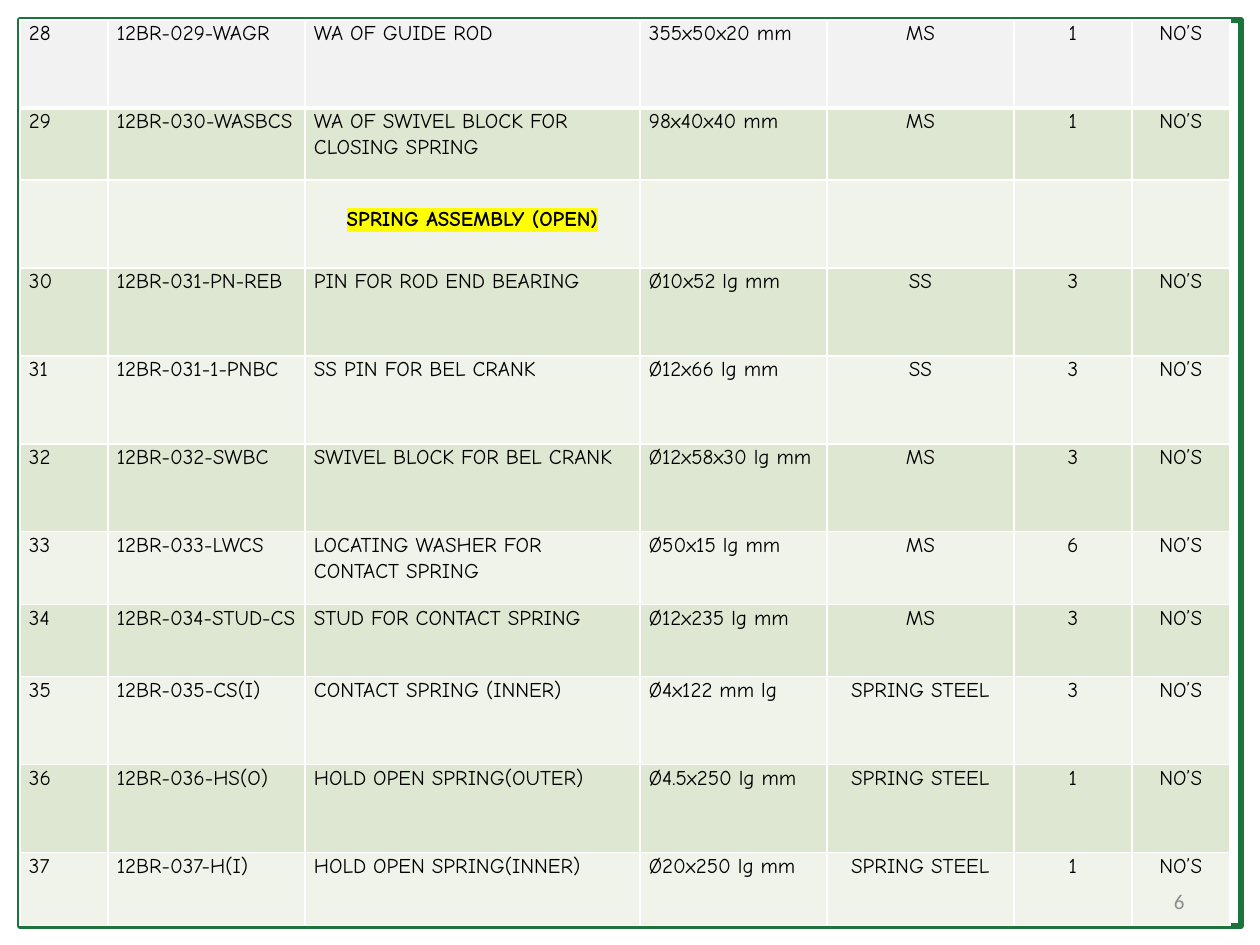
from dataclasses import dataclass

from lxml.etree import SubElement
from pptx import Presentation
from pptx.dml.color import RGBColor as Color
from pptx.enum.shapes import MSO_SHAPE as Shape
from pptx.enum.text import MSO_ANCHOR as Anchor, PP_ALIGN as Align
from pptx.oxml import parse_xml
from pptx.oxml.ns import nsdecls, qn
from pptx.util import Pt

EMU_PER_PX = 914400 / 126


@dataclass(frozen=True)
class Theme:
    frame: str = "1A743C"
    border: str = "FFFFFF"
    first_row: str = "F2F2F2"
    bands: tuple = ("DEE7D1", "EFF3EA")
    ink: str = "000000"
    number: str = "8C8C8C"
    highlight: str = "FFFF00"
    table_font: str = "Comic Neue"
    number_font: str = "Calibri"
    size: int = 12
    frame_width: float = 3.5
    thin: int = 1
    thick: int = 3


THEME = Theme()
COLUMN_WIDTHS = (88, 197, 335, 187, 187, 118, 98)
ROW_HEIGHTS = (88, 72, 88, 88, 88, 88, 73, 72, 88, 88, 73)
FIRST_CENTRED_COLUMN = 4
SECTION = "SPRING ASSEMBLY (OPEN)"
SECTION_COLUMN = 2
UNIT = "NO’S"
PARTS = (
    ("28", "12BR-029-WAGR", "WA OF GUIDE ROD", "355x50x20 mm", "MS", "1"),
    ("29", "12BR-030-WASBCS", "WA OF SWIVEL BLOCK FOR CLOSING SPRING",
     "98x40x40 mm", "MS", "1"),
    None,
    ("30", "12BR-031-PN-REB", "PIN FOR ROD END BEARING", "Ø10x52 lg mm", "SS", "3"),
    ("31", "12BR-031-1-PNBC", "SS PIN FOR BEL CRANK", "Ø12x66 lg mm", "SS", "3"),
    ("32", "12BR-032-SWBC", "SWIVEL BLOCK FOR BEL CRANK", "Ø12x58x30 lg mm", "MS", "3"),
    ("33", "12BR-033-LWCS", "LOCATING WASHER FOR CONTACT SPRING",
     "Ø50x15 lg mm", "MS", "6"),
    ("34", "12BR-034-STUD-CS", "STUD FOR CONTACT SPRING", "Ø12x235 lg mm", "MS", "3"),
    ("35", "12BR-035-CS(I)", "CONTACT SPRING (INNER)", "Ø4x122 mm lg",
     "SPRING STEEL", "3"),
    ("36", "12BR-036-HS(O)", "HOLD OPEN SPRING(OUTER)", "Ø4.5x250 lg mm",
     "SPRING STEEL", "1"),
    ("37", "12BR-037-H(I)", "HOLD OPEN SPRING(INNER)", "Ø20x250 lg mm",
     "SPRING STEEL", "1"),
)


def px(length):
    return round(length * EMU_PER_PX)


def apply(target, values):
    for name, value in values.items():
        setattr(target, name, value)


def write(para, text, color, **font):
    span = para.add_run()
    span.text = text
    apply(span.font, {"size": Pt(THEME.size), "bold": False, **font})
    span.font.color.rgb = Color.from_string(color)
    return span


def add_highlight(span):
    mark = parse_xml(
        f'<a:highlight {nsdecls("a")}><a:srgbClr val="{THEME.highlight}"/></a:highlight>')
    span.font._element.find(qn("a:solidFill")).addnext(mark)


def set_borders(cell, widths):
    properties = cell._tc.get_or_add_tcPr()
    for position, (side, width) in enumerate(widths.items()):
        line = SubElement(properties, qn(f"a:ln{side}"), w=str(Pt(width)))
        fill = SubElement(line, qn("a:solidFill"))
        SubElement(fill, qn("a:srgbClr"), val=THEME.border)
        properties.insert(position, line)


def style_cell(cell, row):
    apply(cell, {"margin_left": px(9), "margin_right": px(9),
                 "margin_top": 0, "margin_bottom": 0})
    cell.fill.solid()
    color = THEME.bands[(row - 1) % 2] if row else THEME.first_row
    cell.fill.fore_color.rgb = Color.from_string(color)
    set_borders(cell, {
        "L": THEME.thin,
        "R": THEME.thin,
        "T": THEME.thick if row == 1 else THEME.thin,
        "B": THEME.thick if row == 0 else THEME.thin,
    })


def fill_cell(cell, text, centred):
    para = cell.text_frame.paragraphs[0]
    apply(para, {"line_spacing": 1.07, "alignment": Align.CENTER if centred else Align.LEFT})
    return write(para, text, THEME.ink, name=THEME.table_font)


def fill_section(cell):
    cell.margin_top = px(26)
    span = fill_cell(cell, SECTION, True)
    span.font.bold = True
    add_highlight(span)


def add_frame(slide):
    frame = slide.shapes.add_shape(Shape.RECTANGLE, px(20), px(20), px(1221), px(906))
    frame.shadow.inherit = False
    frame.fill.background()
    frame.line.color.rgb = Color.from_string(THEME.frame)
    frame.line.width = Pt(THEME.frame_width)


def add_parts_table(slide):
    table = slide.shapes.add_table(
        len(PARTS), len(COLUMN_WIDTHS), px(20), px(20),
        px(sum(COLUMN_WIDTHS)), px(sum(ROW_HEIGHTS))).table
    for column, width in zip(table.columns, COLUMN_WIDTHS):
        column.width = px(width)
    for row, (part, height) in enumerate(zip(PARTS, ROW_HEIGHTS)):
        table.rows[row].height = px(height)
        for column in range(len(COLUMN_WIDTHS)):
            style_cell(table.cell(row, column), row)
        if part is None:
            fill_section(table.cell(row, SECTION_COLUMN))
            continue
        for column, text in enumerate((*part, UNIT)):
            fill_cell(table.cell(row, column), text, column >= FIRST_CENTRED_COLUMN)


def add_page_number(slide):
    box = slide.shapes.add_textbox(px(903), px(876), px(294), px(50))
    apply(box.text_frame, {"word_wrap": True, "vertical_anchor": Anchor.MIDDLE})
    para = box.text_frame.paragraphs[0]
    para.alignment = Align.RIGHT
    write(para, "6", THEME.number, name=THEME.number_font)


def main():
    deck = Presentation()
    apply(deck, {"slide_width": px(1260), "slide_height": px(945)})
    page = deck.slides.add_slide(deck.slide_layouts[6])
    add_frame(page)
    add_parts_table(page)
    add_page_number(page)
    deck.save("out.pptx")


if __name__ == "__main__":
    main()
